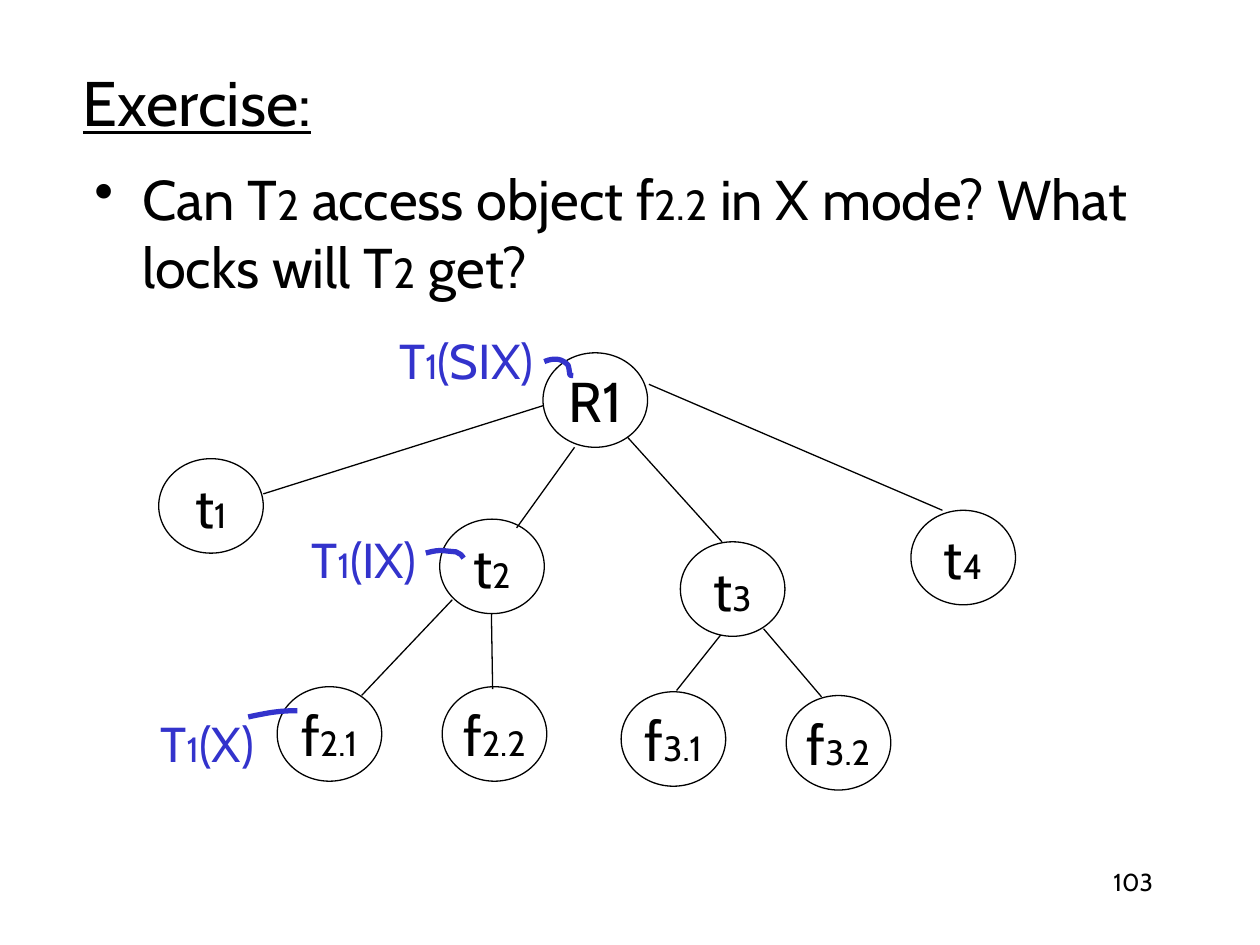
from dataclasses import dataclass
from typing import Any, NamedTuple

from lxml import etree
from pptx import Presentation
from pptx.dml.color import RGBColor
from pptx.enum.shapes import MSO_CONNECTOR, MSO_SHAPE
from pptx.enum.text import MSO_ANCHOR, MSO_AUTO_SIZE, PP_ALIGN
from pptx.oxml.ns import qn
from pptx.util import Pt

PX = 9144
ELLIPSE = MSO_SHAPE.OVAL
STRAIGHT = MSO_CONNECTOR.STRAIGHT
TOP, MIDDLE = MSO_ANCHOR.TOP, MSO_ANCHOR.MIDDLE
LEFT, CENTER, RIGHT = PP_ALIGN.LEFT, PP_ALIGN.CENTER, PP_ALIGN.RIGHT
GROW, FIXED = MSO_AUTO_SIZE.SHAPE_TO_FIT_TEXT, MSO_AUTO_SIZE.NONE
NODE_W, NODE_H = 83, 75
LABEL_H = 57
CURVE_STEPS = 12


@dataclass(frozen=True)
class Theme:
    font: str = "Cabin"
    ink: RGBColor = RGBColor(0, 0, 0)
    paper: RGBColor = RGBColor(255, 255, 255)
    lock: RGBColor = RGBColor(0x33, 0x33, 0xCC)
    title: int = 36
    body: int = 32
    body_sub: int = 24
    label: int = 28
    sub: int = 20
    number: int = 14
    thin: float = 0.75
    thick: float = 3


class Run(NamedTuple):
    text: str
    size: int


class Node(NamedTuple):
    x: int
    y: int
    name: str
    sub: str = ""


class Edge(NamedTuple):
    x1: int
    y1: int
    x2: int
    y2: int


class Label(NamedTuple):
    x: int
    y: int
    w: int
    mode: str


Point = tuple[float, float]
Curve = tuple[Point, Point, Point]


class Stroke(NamedTuple):
    start: Point
    curves: list[Curve]


T = Theme()

NODES = [
    Node(431, 280, "R1"),
    Node(126, 364, "t", "1"),
    Node(349, 412, "t", "2"),
    Node(540, 430, "t", "3"),
    Node(723, 405, "t", "4"),
    Node(220, 545, "f", "2.1"),
    Node(351, 545, "f", "2.2"),
    Node(493, 549, "f", "3.1"),
    Node(624, 552, "f", "3.2"),
]
EDGES = [
    Edge(431, 322, 209, 392),
    Edge(456, 355, 410, 419),
    Edge(498, 347, 573, 430),
    Edge(515, 305, 748, 405),
    Edge(359, 476, 287, 552),
    Edge(390, 487, 391, 547),
    Edge(572, 504, 537, 548),
    Edge(606, 499, 652, 553),
]
LABELS = [
    Label(231, 415, 116, "(IX)"),
    Label(301, 257, 138, "(SIX)"),
    Label(113, 561, 103, "(X)"),
]
STROKES = [
    Stroke((432, 287), [((439, 284), (446, 284), (451, 290)),
                        ((453, 298), (451, 298), (455, 298))]),
    Stroke((338, 439), [((349, 436), (349, 437), (362, 438)),
                        ((367, 441), (365, 439), (368, 443))]),
    Stroke((197, 569), [((211, 566), (221, 564), (236, 564))]),
]


def apply(obj: Any, **values: Any) -> None:
    for name, value in values.items():
        setattr(obj, name, value)


def write(sp: Any, runs: list[Run], color: RGBColor = T.ink, align: PP_ALIGN = LEFT,
          anchor: MSO_ANCHOR = TOP, wrap: bool = True,
          fit: MSO_AUTO_SIZE = FIXED, underline: bool = False) -> Any:
    tf = sp.text_frame
    apply(tf, word_wrap=wrap, auto_size=fit, vertical_anchor=anchor)
    p = tf.paragraphs[0]
    p.alignment = align
    for run in runs:
        r = p.add_run()
        r.text = run.text
        apply(r.font, name=T.font, size=Pt(run.size), underline=underline)
        r.font.color.rgb = color
    return p


def add_text(s: Any, x: int, y: int, w: int, h: int, runs: list[Run], **style: Any) -> Any:
    sp = s.shapes.add_textbox(x * PX, y * PX, w * PX, h * PX)
    return write(sp, runs, **style)


def add_bullet(p: Any, indent: int) -> None:
    p.space_before = Pt(8)
    pPr = p._p.get_or_add_pPr()
    pPr.set("marL", str(indent * PX))
    pPr.set("indent", str(-indent * PX))
    clr = etree.SubElement(pPr, qn("a:buClr"))
    etree.SubElement(clr, qn("a:srgbClr"), val=str(T.ink))
    etree.SubElement(pPr, qn("a:buChar"), char="•")


def set_line(sp: Any, color: RGBColor, width: float) -> None:
    sp.line.color.rgb = color
    sp.line.width = Pt(width)


def add_node(s: Any, node: Node) -> None:
    sp = s.shapes.add_shape(ELLIPSE, node.x * PX, node.y * PX, NODE_W * PX, NODE_H * PX)
    sp.shadow.inherit = False
    sp.fill.solid()
    sp.fill.fore_color.rgb = T.paper
    set_line(sp, T.ink, T.thin)
    runs = [Run(node.name, T.body)]
    if node.sub:
        runs.append(Run(node.sub, T.sub))
    write(sp, runs, align=CENTER, anchor=MIDDLE, wrap=False)


def add_edge(s: Any, edge: Edge) -> None:
    sp = s.shapes.add_connector(STRAIGHT, *(v * PX for v in edge))
    set_line(sp, T.ink, T.thin)
    etree.SubElement(sp._element.spPr, qn("a:effectLst"))


def add_label(s: Any, label: Label) -> None:
    runs = [Run("T", T.label), Run("1", T.sub), Run(label.mode, T.label)]
    add_text(s, label.x, label.y, label.w, LABEL_H, runs, color=T.lock,
             align=CENTER, anchor=MIDDLE, wrap=False, fit=GROW)


def bezier(p0: Point, curve: Curve, t: float) -> Point:
    u = 1 - t
    weights = (u ** 3, 3 * u * u * t, 3 * u * t * t, t ** 3)
    x, y = (sum(w * v for w, v in zip(weights, axis)) for axis in zip(p0, *curve))
    return x, y


def add_stroke(s: Any, stroke: Stroke) -> None:
    points, start = [], stroke.start
    for curve in stroke.curves:
        points += [bezier(start, curve, i / CURVE_STEPS) for i in range(1, CURVE_STEPS + 1)]
        start = curve[-1]
    x, y = stroke.start
    fb = s.shapes.build_freeform(x * PX, y * PX)
    fb.add_line_segments([(round(px * PX), round(py * PX)) for px, py in points], close=False)
    sp = fb.convert_to_shape()
    sp.shadow.inherit = False
    sp.fill.background()
    set_line(sp, T.lock, T.thick)


def main() -> None:
    prs = Presentation()
    apply(prs, slide_width=1000 * PX, slide_height=750 * PX)
    s = prs.slides.add_slide(prs.slide_layouts[6])
    add_text(s, 717, 683, 208, 50, [Run("103", T.number)], align=RIGHT)
    add_text(s, 56, 44, 850, 72, [Run("Exercise:", T.title)], anchor=MIDDLE, underline=True)
    question = [
        Run("Can T", T.body), Run("2", T.body_sub),
        Run(" access object f", T.body), Run("2.2", T.body_sub),
        Run(" in X mode? What locks will T", T.body), Run("2", T.body_sub),
        Run(" get?", T.body),
    ]
    add_bullet(add_text(s, 65, 126, 850, 125, question), 38)
    for draw, items in ((add_node, NODES), (add_edge, EDGES),
                        (add_label, LABELS), (add_stroke, STROKES)):
        for item in items:
            draw(s, item)
    prs.save("out.pptx")


if __name__ == "__main__":
    main()
